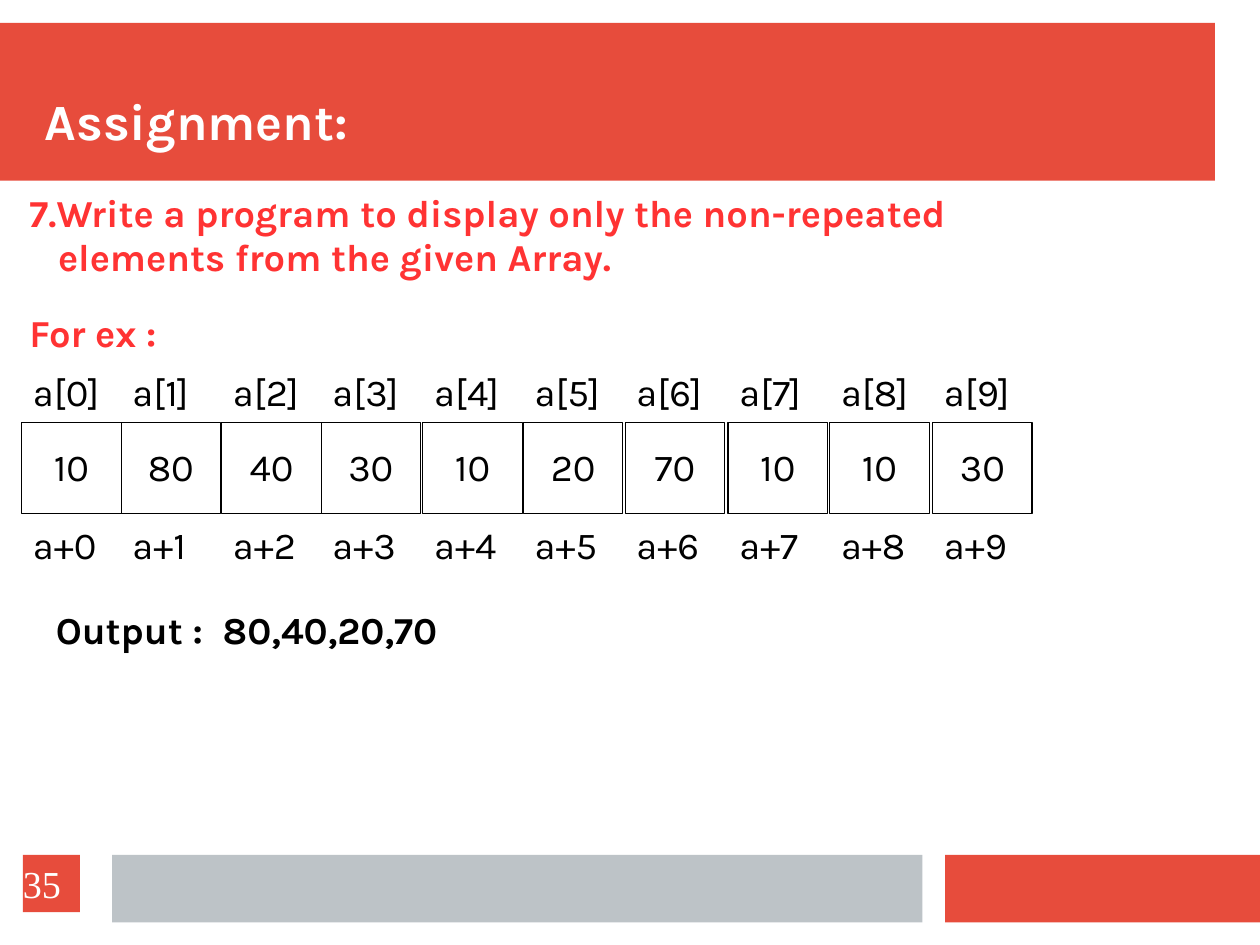
"""Build the array assignment slide about non-repeated elements."""
from lxml import etree
from pptx import Presentation
from pptx.dml.color import RGBColor
from pptx.enum.shapes import MSO_SHAPE
from pptx.enum.text import MSO_ANCHOR, PP_ALIGN
from pptx.oxml.ns import qn
from pptx.util import Cm, Inches, Pt

RECTANGLE = MSO_SHAPE.RECTANGLE
TOP, MIDDLE, BOTTOM = MSO_ANCHOR.TOP, MSO_ANCHOR.MIDDLE, MSO_ANCHOR.BOTTOM
LEFT, CENTER = PP_ALIGN.LEFT, PP_ALIGN.CENTER

BRICK, SILVER, RED, WHITE, BLACK = "E74C3C", "BDC3C7", "FF3333", "FFFFFF", "000000"

BANDS = [
    (0, 0.2, 10.63, 1.38, BRICK),
    (8.27, 7.48, 2.76, 0.59, BRICK),
    (0.98, 7.48, 7.09, 0.59, SILVER),
]
TITLE = "Assignment:"
TASK = [
    "7.Write a program to display only the non-repeated",
    "elements from the given Array.",
]
EXAMPLE = "For ex :"
OUTPUT = "Output :\t80,40,20,70"
PAGE_NUMBER = "35"

VALUES = [10, 80, 40, 30, 10, 20, 70, 10, 10, 30]
CELL_LEFTS = [0.19, 1.06, 1.94, 2.81, 3.7, 4.58, 5.47, 6.37, 7.26, 8.16]
CELL_TOP, CELL_WIDTH, CELL_HEIGHT = 3.7, 0.87, 0.79
INDEX_TOP, ADDRESS_TOP, LABEL_HEIGHT = 3.2, 4.54, 0.5
TASK_INDENT, OUTPUT_TAB = 0.25, 1.46


def color(hex_code):
    return RGBColor.from_string(hex_code)


def add_rectangle(slide, place, fill, line=None):
    shape = slide.shapes.add_shape(RECTANGLE, *map(Inches, place))
    shape.shadow.inherit = False
    shape.fill.solid()
    shape.fill.fore_color.rgb = color(fill)
    if line:
        shape.line.color.rgb = color(line)
        shape.line.width = Pt(0.75)
    else:
        shape.line.fill.background()
    return shape


def write(shape, lines, ink=BLACK, size=24, bold=False, font="Karla",
          align=LEFT, anchor=TOP, spacing=0.97, inset=True):
    frame = shape.text_frame
    frame.word_wrap = True
    frame.vertical_anchor = anchor
    frame.margin_left = frame.margin_right = Inches(0.1 if inset else 0)
    frame.margin_top = frame.margin_bottom = Inches(0.05 if inset else 0)
    frame.text = "\n".join(lines)
    for para in frame.paragraphs:
        para.alignment = align
        para.line_spacing = spacing
        for span in para.runs:
            span.font.name = font
            span.font.size = Pt(size)
            span.font.bold = bold
            span.font.color.rgb = color(ink)
    return frame.paragraphs


def add_text(slide, place, lines, **style):
    box = slide.shapes.add_textbox(*map(Inches, place))
    return write(box, lines, **style)


def add_tab(para, position):
    tabs = etree.SubElement(para._p.get_or_add_pPr(), qn("a:tabLst"))
    etree.SubElement(tabs, qn("a:tab"), pos=str(Inches(position)), algn="l")


def add_array(slide):
    for index, (left, value) in enumerate(zip(CELL_LEFTS, VALUES)):
        cell = add_rectangle(slide, (left, CELL_TOP, CELL_WIDTH, CELL_HEIGHT), WHITE, BLACK)
        write(cell, [str(value)], align=CENTER, anchor=MIDDLE)
        for top, label in ((INDEX_TOP, f"a[{index}]"), (ADDRESS_TOP, f"a+{index}")):
            add_text(slide, (left, top, CELL_WIDTH, LABEL_HEIGHT), [label])


def main():
    deck = Presentation()
    deck.slide_width, deck.slide_height = Cm(28), Cm(21)
    page = deck.slides.add_slide(deck.slide_layouts[6])

    for *place, fill in BANDS:
        add_rectangle(page, place, fill)
    add_text(page, (0.39, 0.39, 10.19, 0.94), [TITLE], ink=WHITE, size=32,
             bold=True, anchor=BOTTOM, inset=False)
    add_array(page)

    task = add_text(page, (0.16, 1.63, 9.56, 0.89), TASK, ink=RED, bold=True)
    task[1]._p.get_or_add_pPr().set("marL", str(Inches(TASK_INDENT)))
    add_text(page, (0.16, 2.68, 1.73, 0.5), [EXAMPLE], ink=RED, bold=True)
    output = add_text(page, (0.39, 5.28, 4.52, 2.05), [OUTPUT], bold=True)
    add_tab(output[0], OUTPUT_TAB)

    number = add_rectangle(page, (0.2, 7.48, 0.5, 0.5), BRICK)
    write(number, [PAGE_NUMBER], ink=WHITE, font="Times New Roman",
          anchor=MIDDLE, spacing=1.0, inset=False)
    deck.save("out.pptx")


if __name__ == "__main__":
    main()
